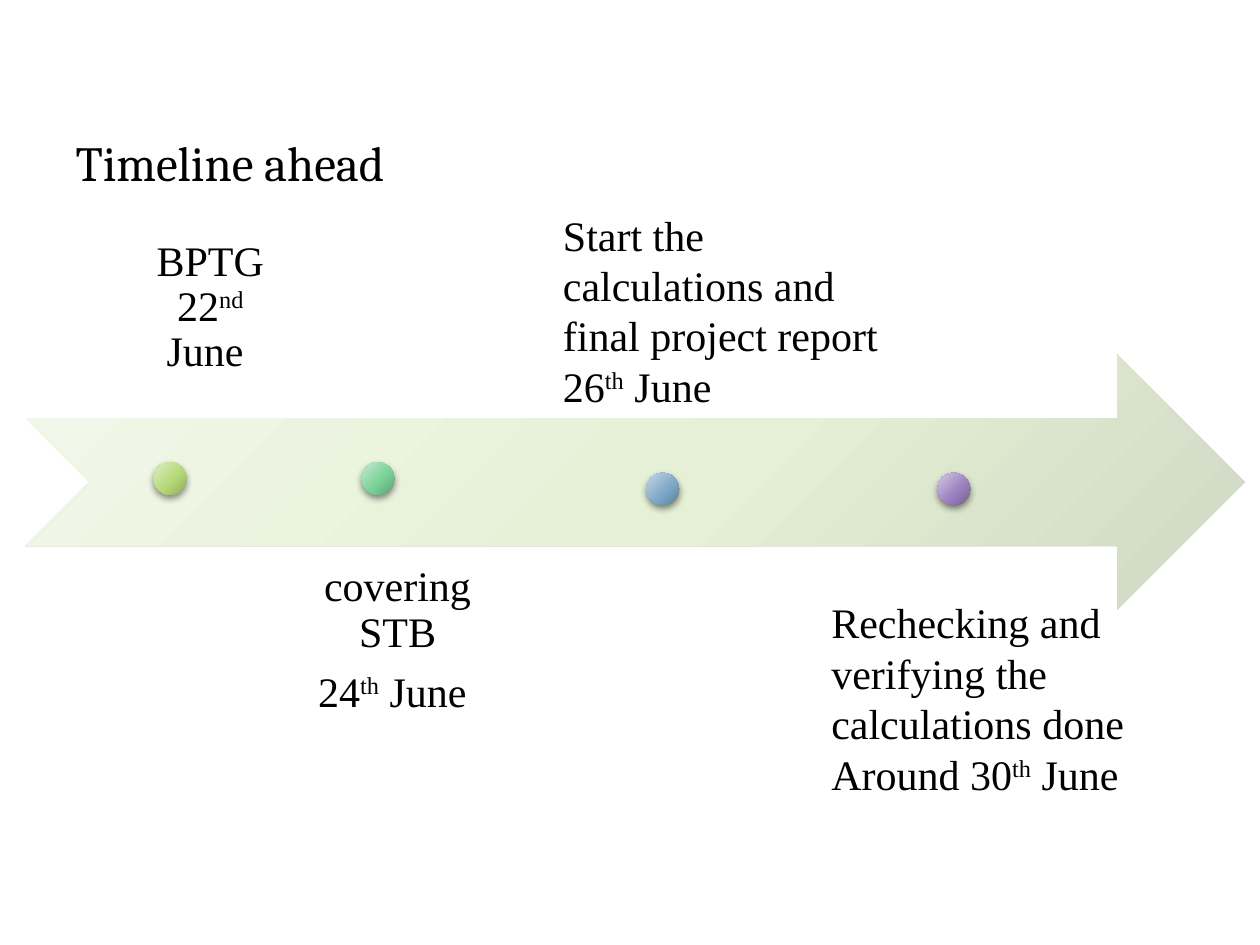
"""Build a timeline slide with a notched arrow, four dots and their labels."""
import pptx
import pptx.dml.color
import pptx.enum.shapes
import pptx.enum.text
import pptx.oxml
import pptx.oxml.ns
import pptx.util

Cm = pptx.util.Cm
Pt = pptx.util.Pt
RGBColor = pptx.dml.color.RGBColor
Shape = pptx.enum.shapes.MSO_SHAPE
Align = pptx.enum.text.PP_ALIGN
Anchor = pptx.enum.text.MSO_ANCHOR

BLACK = RGBColor(0x00, 0x00, 0x00)
PALE = (RGBColor(0xF2, 0xF8, 0xEA), RGBColor(0xE5, 0xF0, 0xD5), RGBColor(0xCF, 0xD7, 0xC3))
LIME = (RGBColor(0xDD, 0xED, 0xC6), RGBColor(0xB6, 0xDA, 0x79), RGBColor(0x90, 0xAE, 0x53))
GREEN = (RGBColor(0xC7, 0xE9, 0xD1), RGBColor(0x7D, 0xD2, 0x98), RGBColor(0x56, 0xA7, 0x74))
BLUE = (RGBColor(0xC9, 0xD8, 0xE5), RGBColor(0x81, 0xA9, 0xC9), RGBColor(0x5A, 0x82, 0x9F))
PURPLE = (RGBColor(0xD4, 0xCB, 0xE2), RGBColor(0x9E, 0x85, 0xC1), RGBColor(0x77, 0x5D, 0x97))

NS = pptx.oxml.ns.nsdecls("a")
STOPS = (0, 55000, 100000)
DOT = 0.66
DOTS = ((3.1, 9.32, LIME), (7.29, 9.32, GREEN), (13.03, 9.53, BLUE), (18.9, 9.53, PURPLE))


def shade(shape, tones):
    """Fill a shape with a radial gradient and no line."""
    shape.line.fill.background()
    shape.shadow.inherit = False
    shape.fill.solid()
    stops = "".join(
        f'<a:gs pos="{pos}"><a:srgbClr val="{tone}"/></a:gs>'
        for pos, tone in zip(STOPS, tones)
    )
    grad = pptx.oxml.parse_xml(
        f'<a:gradFill {NS} rotWithShape="1"><a:gsLst>{stops}</a:gsLst><a:path path="circle">'
        '<a:fillToRect l="-40000" t="-90000" r="140000" b="190000"/></a:path></a:gradFill>'
    )
    props = shape._element.spPr
    props.replace(props.find(pptx.oxml.ns.qn("a:solidFill")), grad)


def add_arrow(slide):
    """Draw the wide arrow."""
    arrow = slide.shapes.add_shape(
        Shape.NOTCHED_RIGHT_ARROW, Cm(0.51), Cm(7.14), Cm(24.59), Cm(5.16))
    shade(arrow, PALE)


def add_dot(slide, left, top, tones):
    """Draw one dot with a soft shadow below it."""
    dot = slide.shapes.add_shape(Shape.OVAL, Cm(left), Cm(top), Cm(DOT), Cm(DOT))
    shade(dot, tones)
    glow = pptx.oxml.parse_xml(
        f'<a:outerShdw {NS} blurRad="{Pt(4)}" dist="{Pt(2)}" dir="5400000" rotWithShape="0">'
        f'<a:srgbClr val="{BLACK}"><a:alpha val="45000"/></a:srgbClr></a:outerShdw>'
    )
    dot._element.spPr.find(pptx.oxml.ns.qn("a:effectLst")).append(glow)


def style(para, name, size):
    """Set the font of a paragraph."""
    para.font.name = name
    para.font.size = Pt(size)
    para.font.color.rgb = BLACK


def add_label(slide, box, lines):
    """Add a text box; the second part of each line is raised."""
    frame = slide.shapes.add_textbox(*map(Cm, box)).text_frame
    frame.word_wrap = True
    for place, parts in enumerate(lines):
        para = frame.add_paragraph() if place else frame.paragraphs[0]
        style(para, "Times New Roman", 24)
        for spot, text in enumerate(parts):
            run = para.add_run()
            run.text = text
            if spot == 1:
                run._r.get_or_add_rPr().set("baseline", "30000")
    return frame


def center(frame, anchor):
    """Center a label, tighten its lines and widen its margins."""
    frame.vertical_anchor = anchor
    frame.margin_left = frame.margin_right = Cm(0.48)
    frame.margin_top = frame.margin_bottom = Cm(0.48)
    for para in frame.paragraphs:
        para.alignment = Align.CENTER
        para.line_spacing = 0.9
        para.space_after = Pt(8.4)


def set_title(slide, text):
    """Place and format the title."""
    title = slide.shapes.title
    title.left, title.top, title.width, title.height = map(Cm, (1.27, 2.54, 22.86, 2.54))
    frame = title.text_frame
    frame.text = text
    frame.vertical_anchor = Anchor.TOP
    frame.paragraphs[0].alignment = Align.LEFT
    style(frame.paragraphs[0], "Cambria", 28)


def main():
    """Build and save the slide."""
    deck = pptx.Presentation()
    deck.slide_width, deck.slide_height = Cm(25.4), Cm(19.05)
    slide = deck.slides.add_slide(deck.slide_layouts[5])
    set_title(slide, "Timeline ahead")
    add_arrow(slide)
    for dot in DOTS:
        add_dot(slide, *dot)
    first = add_label(slide, (2.31, 5.16, 3.86, 2.9), [("BPTG 22", "nd", " June ")])
    center(first, Anchor.BOTTOM)
    second = add_label(slide, (5.69, 10.92, 4.65, 5.16),
                       [("covering STB",), ("24", "th", " June ")])
    center(second, Anchor.TOP)
    add_label(slide, (11.1, 4.09, 7.19, 4.37),
              [("Start the calculations and final project report",), ("26", "th", " June")])
    add_label(slide, (16.51, 11.91, 7.62, 5.13),
              [("Rechecking and verifying the calculations done",),
               ("Around 30", "th", " June")])
    deck.save("out.pptx")


if __name__ == "__main__":
    main()
